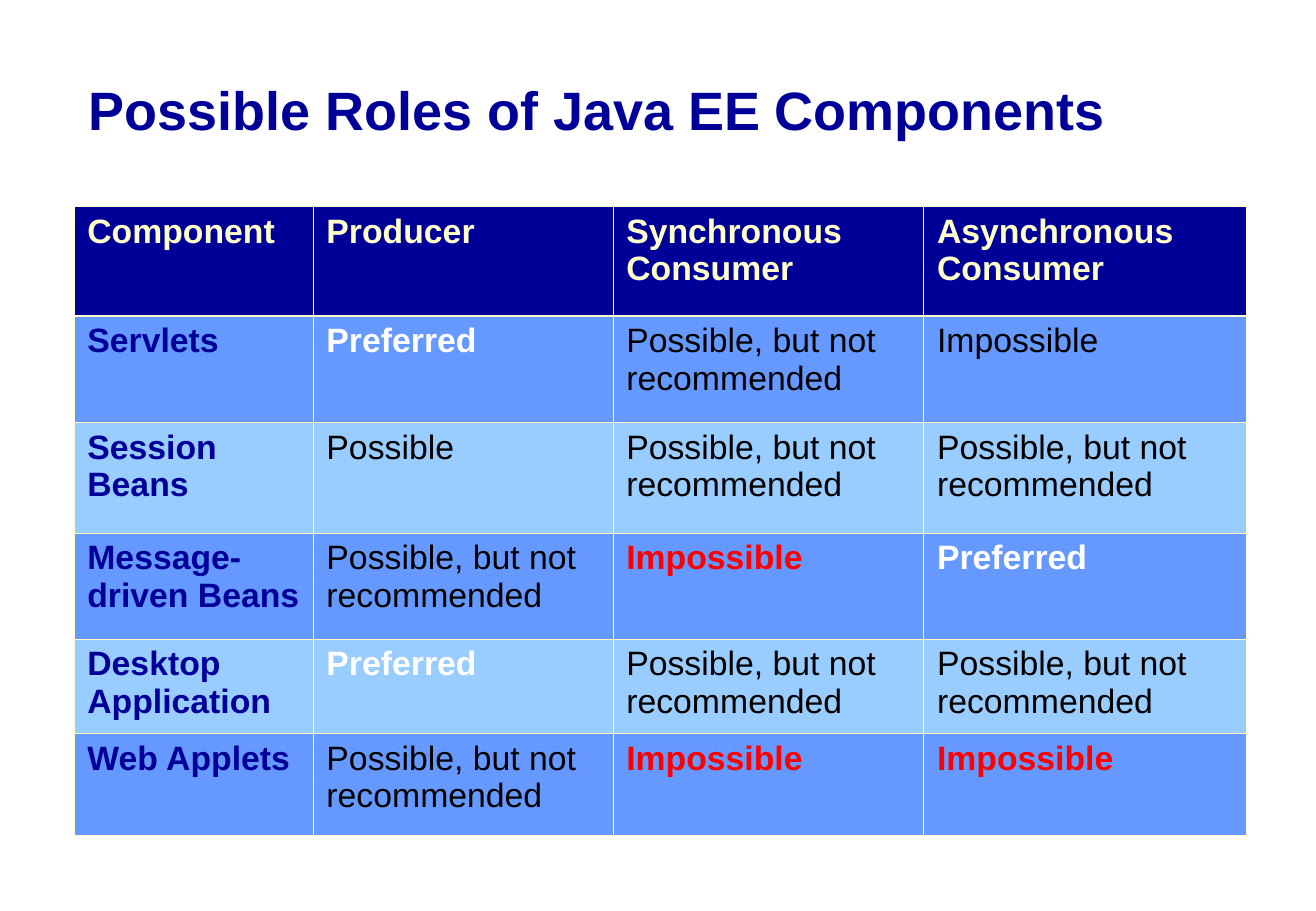
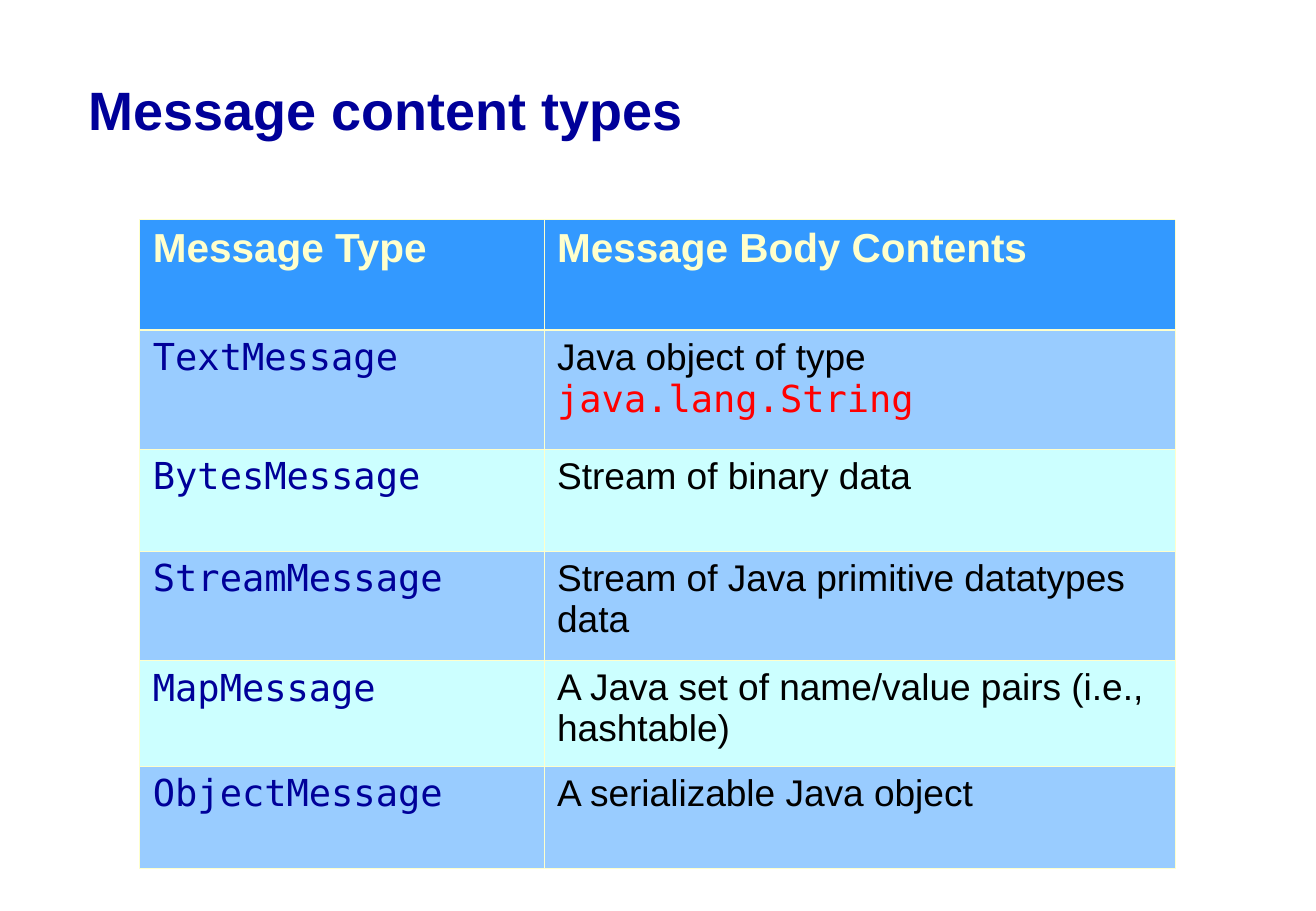
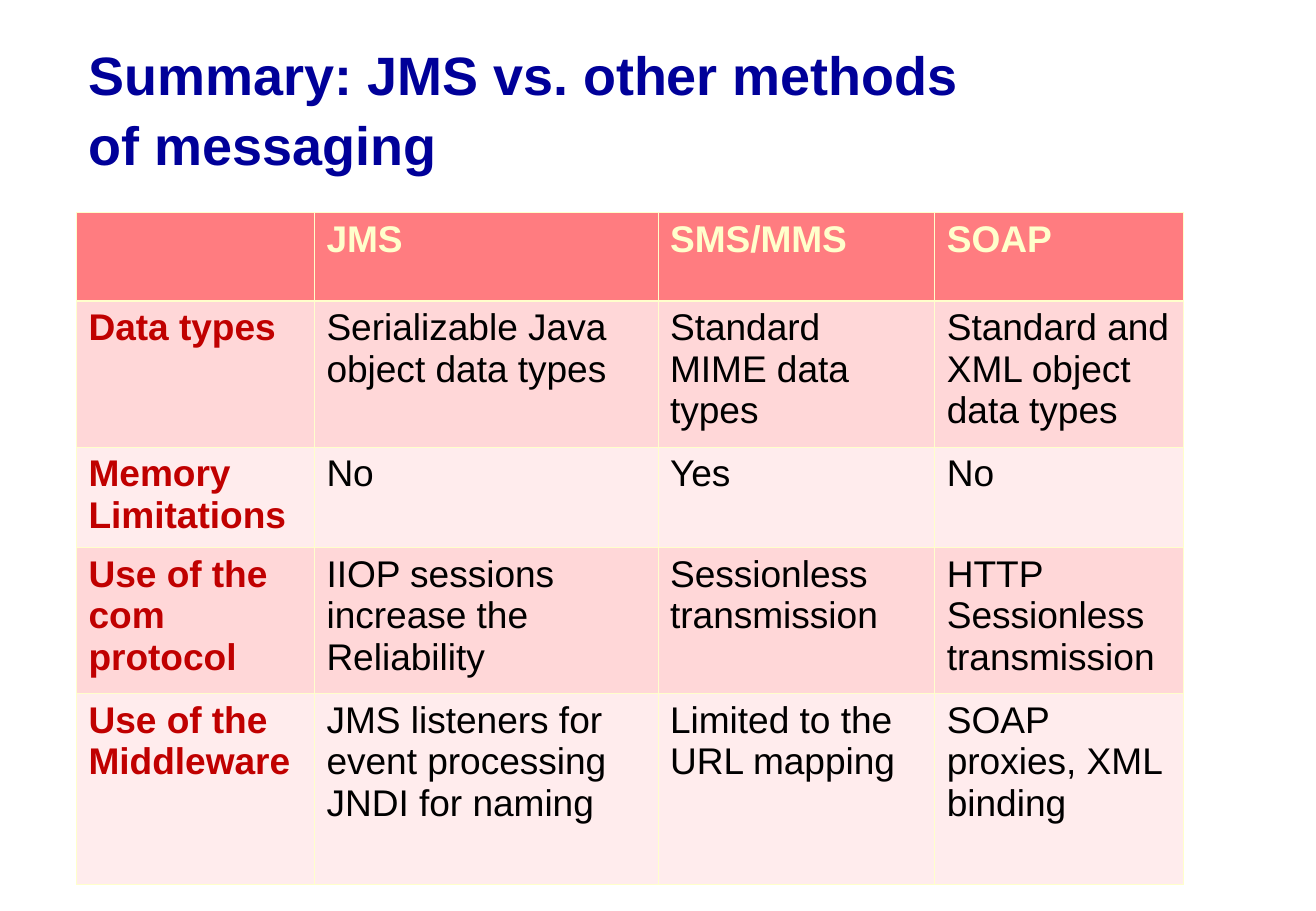
from dataclasses import dataclass

from lxml import etree
from pptx import Presentation
from pptx import util as u
from pptx.dml.color import RGBColor
from pptx.enum import text
from pptx.oxml import ns


@dataclass(frozen=True)
class Style:
    color: str
    bold: bool = False
    font: str = "Arial"


class Theme:
    width, height = 10.84, 7.5
    title_left, title_top, title_height = 0.63, 0.25, 1.25
    title_size, title_spacing = 32, 1.08
    line, thin, thick = "FFFFCC", 0.45, 1.47
    title = Style("000099", True)
    header = Style("FFFFCC", True)
    label = Style("000099", True)
    red_label = Style("C00000", True)
    body = Style("000000")
    preferred = Style("FFFFFF", True)
    warning = Style("FF0000", True)
    code = Style("000099", font="DejaVu Sans Mono")
    code_accent = Style("FF0000", font="DejaVu Sans Mono")


@dataclass(frozen=True)
class TableLook:
    header_fill: str
    band_fills: tuple
    label: Style
    header_size: int
    body_size: int
    margin: float = 0.11


BLUE = TableLook("000099", ("6699FF", "99CCFF"), Theme.label, 20, 20)
SKY = TableLook("3399FF", ("99CCFF", "CCFFFF"), Theme.code, 24, 22)
ROSE = TableLook("FF7C80", ("FFD7D8", "FFECED"), Theme.red_label, 22, 22, 0.1)

# Cells are plain text, or a list of (text, style) runs
POSSIBLE = "Possible, but not recommended"
PREFERRED = [("Preferred", Theme.preferred)]
IMPOSSIBLE = [("Impossible", Theme.warning)]

ROLES = [
    ["Component", "Producer", "Synchronous Consumer", "Asynchronous Consumer"],
    ["Servlets", PREFERRED, POSSIBLE, "Impossible"],
    ["Session Beans", "Possible", POSSIBLE, POSSIBLE],
    ["Message-driven Beans", POSSIBLE, IMPOSSIBLE, PREFERRED],
    ["Desktop Application", PREFERRED, POSSIBLE, POSSIBLE],
    ["Web Applets", POSSIBLE, IMPOSSIBLE, IMPOSSIBLE],
]
MESSAGE_TYPES = [
    ["Message Type", "Message Body Contents"],
    ["TextMessage", [("Java object of type ", Theme.body),
                     ("java.lang.String", Theme.code_accent)]],
    ["BytesMessage", "Stream of binary data"],
    ["StreamMessage", "Stream of Java primitive datatypes data"],
    ["MapMessage", "A Java set of name/value pairs (i.e., hashtable)"],
    ["ObjectMessage", "A serializable Java object"],
]
SUMMARY = [
    ["", "JMS", "SMS/MMS", "SOAP"],
    ["Data types", "Serializable Java object data types",
     "Standard MIME data types", "Standard and XML object data types"],
    ["Memory Limitations", "No", "Yes", "No"],
    ["Use of the com protocol", "IIOP sessions increase the\nReliability",
     "Sessionless transmission", "HTTP Sessionless transmission"],
    ["Use of the Middleware", "JMS listeners for event processing JNDI for naming",
     "Limited to the URL mapping", "SOAP proxies, XML binding"],
]


def format_run(run, style, size):
    run.font.name = style.font
    run.font.size = u.Pt(size)
    run.font.bold = style.bold
    run.font.color.rgb = RGBColor.from_string(style.color)


def place_title(slide, title, width):
    shape = slide.shapes.title
    shape.left, shape.top = u.Inches(Theme.title_left), u.Inches(Theme.title_top)
    shape.width, shape.height = u.Inches(width), u.Inches(Theme.title_height)
    frame = shape.text_frame
    frame.text = title
    frame.auto_size = text.MSO_AUTO_SIZE.NONE
    frame.vertical_anchor = text.MSO_ANCHOR.MIDDLE
    paragraph = frame.paragraphs[0]
    paragraph.alignment = text.PP_ALIGN.LEFT
    paragraph.line_spacing = Theme.title_spacing
    format_run(paragraph.runs[0], Theme.title, Theme.title_size)


def add_borders(cell, top, bottom):
    """Draw the four cell edges; they must come before the fill."""
    properties = cell._tc.get_or_add_tcPr()
    edges = {"L": Theme.thin, "R": Theme.thin, "T": top, "B": bottom}
    for index, (side, width) in enumerate(edges.items()):
        edge = etree.Element(ns.qn(f"a:ln{side}"), w=str(int(u.Pt(width))))
        fill = etree.SubElement(edge, ns.qn("a:solidFill"))
        etree.SubElement(fill, ns.qn("a:srgbClr"), val=Theme.line)
        properties.insert(index, edge)


def fill_cell(cell, content, style, size):
    frame = cell.text_frame
    if isinstance(content, str):
        frame.text = content
        for paragraph in frame.paragraphs:
            for run in paragraph.runs:
                format_run(run, style, size)
        return
    for words, run_style in content:
        run = frame.paragraphs[0].add_run()
        run.text = words
        format_run(run, run_style, size)


def place_table(slide, left, top, widths, heights, rows, look):
    frame = slide.shapes.add_table(
        len(rows), len(widths), u.Inches(left), u.Inches(top),
        u.Inches(sum(widths)), u.Inches(sum(heights)))
    table = frame.table
    for column, width in zip(table.columns, widths):
        column.width = u.Inches(width)
    for row, height in zip(table.rows, heights):
        row.height = u.Inches(height)

    for r, contents in enumerate(rows):
        is_header = r == 0
        color = look.header_fill if is_header else look.band_fills[(r - 1) % 2]
        size = look.header_size if is_header else look.body_size
        for c, content in enumerate(contents):
            cell = table.cell(r, c)
            cell.margin_left = cell.margin_right = u.Inches(look.margin)
            cell.fill.solid()
            cell.fill.fore_color.rgb = RGBColor.from_string(color)
            add_borders(cell, Theme.thick if r == 1 else Theme.thin,
                        Theme.thick if is_header else Theme.thin)
            style = (Theme.header if is_header
                     else look.label if c == 0 else Theme.body)
            fill_cell(cell, content, style, size)


def add_table_slide(presentation, title, title_width, **table):
    slide = presentation.slides.add_slide(presentation.slide_layouts[5])
    place_title(slide, title, title_width)
    place_table(slide, **table)


def main():
    presentation = Presentation()
    presentation.slide_width = u.Inches(Theme.width)
    presentation.slide_height = u.Inches(Theme.height)

    # Component roles
    add_table_slide(
        presentation, "Possible Roles of Java EE Components", 9.64,
        left=0.61, top=1.7, widths=[1.97, 2.47, 2.56, 2.66],
        heights=[0.9, 0.88, 0.91, 0.87, 0.78, 0.84], rows=ROLES, look=BLUE)
    # Message types
    add_table_slide(
        presentation, "Message content types", 7.4,
        left=1.15, top=1.81, widths=[3.33, 5.2],
        heights=[0.91, 0.98, 0.84, 0.9, 0.87, 0.84],
        rows=MESSAGE_TYPES, look=SKY)
    # Comparison of messaging methods
    add_table_slide(
        presentation, "Summary: JMS vs. other methods of messaging", 7.4,
        left=0.63, top=1.75, widths=[1.96, 2.83, 2.28, 2.05],
        heights=[0.73, 1.2, 0.83, 1.2, 1.57], rows=SUMMARY, look=ROSE)

    presentation.save("out.pptx")


if __name__ == "__main__":
    main()
